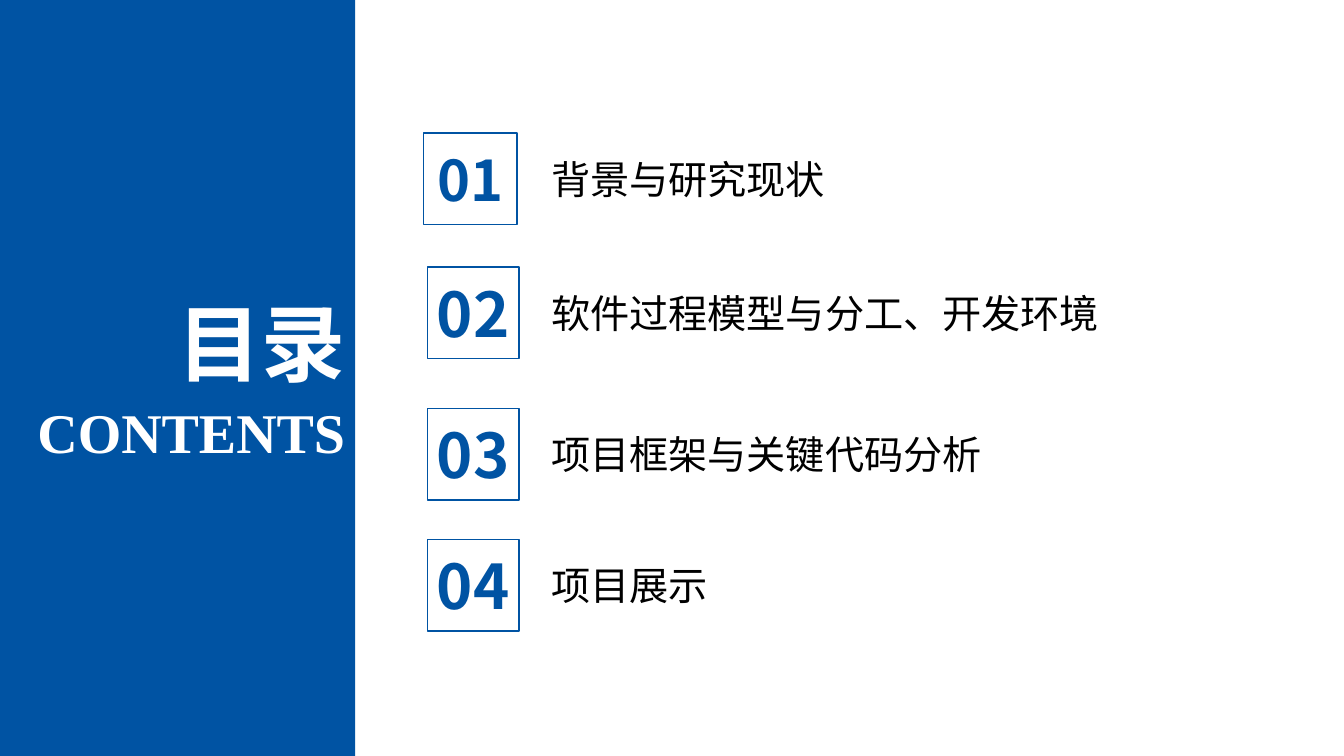
from dataclasses import dataclass

from lxml.etree import SubElement
from pptx import Presentation
from pptx.dml.color import RGBColor
from pptx.enum.shapes import MSO_SHAPE
from pptx.enum.text import MSO_ANCHOR, MSO_AUTO_SIZE, PP_ALIGN
from pptx.oxml.ns import qn
from pptx.util import Cm, Pt


@dataclass(frozen=True)
class Theme:
    blue: RGBColor = RGBColor(0x00, 0x53, 0xA3)
    white: RGBColor = RGBColor(0xFF, 0xFF, 0xFF)
    black: RGBColor = RGBColor(0x00, 0x00, 0x00)
    sans: str = "Noto Sans CJK SC"
    serif: str = "Times New Roman"
    title_size: int = 60
    subtitle_size: int = 40
    label_size: int = 28


THEME = Theme()

# number, number size, label, frame left, top and width in cm
ENTRIES = [
    ("01", 40, "背景与研究现状", 10.67, 3.35, 2.36),
    ("02", 44, "软件过程模型与分工、开发环境", 10.77, 6.73, 2.31),
    ("03", 44, "项目框架与关键代码分析", 10.77, 10.29, 2.31),
    ("04", 44, "项目展示", 10.77, 13.59, 2.31),
]
FRAME_HEIGHT = 2.31
NUMBER_WIDTH = 2.5
LABEL_LEFT = 13.64
LABEL_HEIGHT = 1.45


def write(shape, text, size, color, align, font=THEME.sans, bold=False):
    """Put one vertically centred line of formatted text into a shape."""
    frame = shape.text_frame
    frame.text = text
    frame.word_wrap = True
    frame.auto_size = MSO_AUTO_SIZE.NONE
    frame.vertical_anchor = MSO_ANCHOR.MIDDLE
    paragraph = frame.paragraphs[0]
    paragraph.alignment = align
    run = paragraph.runs[0]
    run.font.size = Pt(size)
    run.font.bold = bold
    run.font.color.rgb = color
    run.font.name = font
    SubElement(run.font._element, qn("a:ea"), typeface=font)


def add_title_panel(slide, left, top, width, height):
    panel = slide.shapes.add_shape(
        MSO_SHAPE.RECTANGLE, Cm(left), Cm(top), Cm(width), Cm(height))
    panel.shadow.inherit = False
    panel.fill.solid()
    panel.fill.fore_color.rgb = THEME.blue
    panel.line.fill.background()

    title = slide.shapes.title
    title.left, title.top = Cm(left + 2.49), Cm(top + 7.21)
    title.width, title.height = Cm(width - 2.49), Cm(2.82)
    write(title, "目录", THEME.title_size, THEME.white, PP_ALIGN.RIGHT, bold=True)
    # The title lies above the panel
    panel._element.addnext(title._element)

    subtitle = slide.shapes.add_textbox(
        Cm(left), Cm(top + 9.88), Cm(width), Cm(1.96))
    write(subtitle, "CONTENTS", THEME.subtitle_size, THEME.white,
          PP_ALIGN.RIGHT, THEME.serif, bold=True)


def add_entry(slide, number, number_size, label, left, top, width):
    """Add a framed number and its label, both centred on the frame."""
    badge = slide.shapes.add_group_shape()
    number_box = badge.shapes.add_textbox(
        Cm(left + (width - NUMBER_WIDTH) / 2), Cm(top),
        Cm(NUMBER_WIDTH), Cm(FRAME_HEIGHT))
    write(number_box, number, number_size, THEME.blue, PP_ALIGN.CENTER, bold=True)

    frame = badge.shapes.add_shape(
        MSO_SHAPE.RECTANGLE, Cm(left), Cm(top), Cm(width), Cm(FRAME_HEIGHT))
    frame.shadow.inherit = False
    frame.fill.background()
    frame.line.color.rgb = THEME.blue
    frame.line.width = Pt(1)

    label_box = slide.shapes.add_textbox(
        Cm(LABEL_LEFT), Cm(top + (FRAME_HEIGHT - LABEL_HEIGHT) / 2),
        Cm(len(label) + 0.6), Cm(LABEL_HEIGHT))
    write(label_box, label, THEME.label_size, THEME.black, PP_ALIGN.LEFT)


def main():
    presentation = Presentation()
    presentation.slide_width = Cm(33.87)
    presentation.slide_height = Cm(19.05)
    title_only = presentation.slide_layouts[5]
    slide = presentation.slides.add_slide(title_only)
    add_title_panel(slide, 0, 0, 8.95, 19.05)
    for entry in ENTRIES:
        add_entry(slide, *entry)
    presentation.save("out.pptx")


if __name__ == "__main__":
    main()
